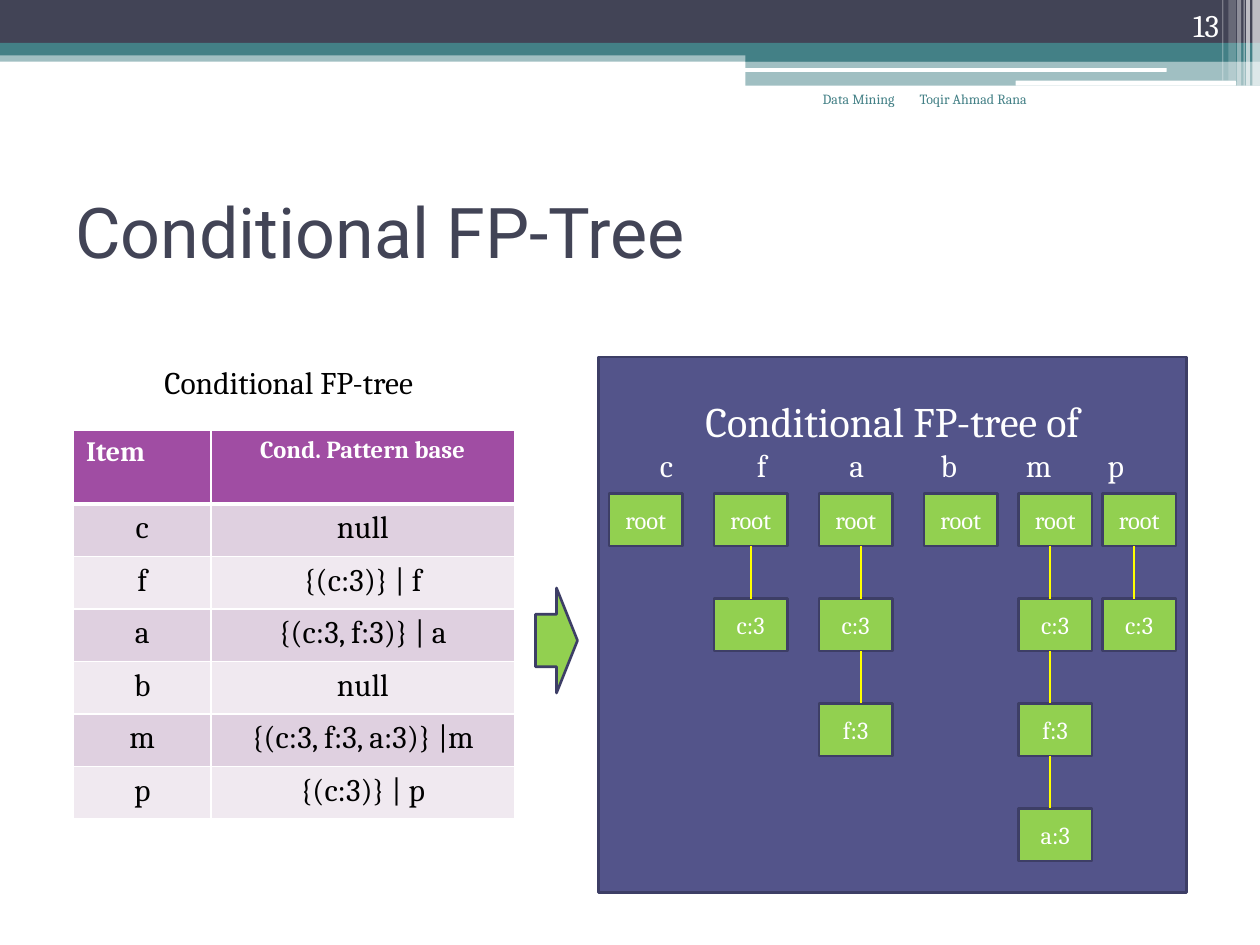
from dataclasses import dataclass
from itertools import pairwise

from lxml import etree
from pptx import Presentation
from pptx.dml.color import RGBColor
from pptx.enum import shapes, text
from pptx.oxml import ns
from pptx.util import Pt

WHITE = RGBColor(0xFF, 0xFF, 0xFF)
BLACK = RGBColor(0x00, 0x00, 0x00)
SLATE = RGBColor(0x42, 0x44, 0x56)
TEAL = RGBColor(0x43, 0x80, 0x86)
INDIGO = RGBColor(0x53, 0x54, 0x8A)
OUTLINE = RGBColor(0x3D, 0x3E, 0x66)
GREEN = RGBColor(0x92, 0xD0, 0x50)
YELLOW = RGBColor(0xFF, 0xFF, 0x00)
PURPLE = RGBColor(0xA0, 0x4D, 0xA3)
ROW_FILLS = (RGBColor(0xDF, 0xD0, 0xE0), RGBColor(0xF0, 0xE9, 0xF0))

RECT = shapes.MSO_SHAPE.RECTANGLE
ROUND = shapes.MSO_SHAPE.ROUNDED_RECTANGLE
ARROW = shapes.MSO_SHAPE.RIGHT_ARROW
LEFT, CENTER, RIGHT = text.PP_ALIGN.LEFT, text.PP_ALIGN.CENTER, text.PP_ALIGN.RIGHT
TOP, MIDDLE, BOTTOM = text.MSO_ANCHOR.TOP, text.MSO_ANCHOR.MIDDLE, text.MSO_ANCHOR.BOTTOM


@dataclass(frozen=True)
class Band:
    left: float
    top: float
    width: float
    height: float
    color: RGBColor
    opacity: int = 100
    kind: int = RECT


@dataclass(frozen=True)
class Label:
    content: str
    left: float
    top: float
    width: float
    height: float
    size: float
    color: RGBColor
    align: int = LEFT
    anchor: int = TOP
    font: str = "Cambria"


@dataclass(frozen=True)
class Tree:
    item: str
    item_center: float
    left: float
    nodes: tuple[str, ...]
    edge_shift: float = 0


BANDS = (
    Band(0, 28.8, 720, 6.5, TEAL, 50),
    Band(0, 0, 720, 24.5, SLATE),
    Band(0, 24.5, 720, 7.2, TEAL),
    Band(426, 28.1, 294, 7.2, TEAL),
    Band(426, 34.6, 294, 14.4, TEAL, 50),
    Band(425.5, 38.9, 241.2, 2.2, WHITE, kind=ROUND),
    Band(580.3, 46.1, 126, 2.9, WHITE, kind=ROUND),
    Band(715.7, 0, 4.3, 49, WHITE, 65),
    Band(712.1, 0, 2.2, 49, WHITE, 65),
    Band(710.6, 0, 0.7, 49, WHITE, 60),
    Band(707, 0, 2.2, 49, WHITE, 40),
    Band(702, 0, 4.3, 46.1, WHITE, 20),
    Band(698.4, 0, 0.7, 46.1, WHITE, 30),
)
LABELS = (
    Label("Conditional FP-Tree", 36, 90, 648, 84, 40, SLATE, anchor=MIDDLE, font="Roboto"),
    Label("Conditional FP-tree", 72, 204, 186, 28.8, 18, BLACK, CENTER),
    Label("Toqir Ahmad Rana", 518.4, 48, 75.6, 36, 8, TEAL),
    Label("13", 643.7, 0, 60, 28.8, 18, WHITE, RIGHT, BOTTOM),
    Label("Data Mining", 414, 48, 104.4, 36, 8, TEAL, RIGHT),
)
TREES = (
    Tree("c", 381, 348, ("root",)),
    Tree("f", 435.4, 408, ("root", "c:3")),
    Tree("a", 489.7, 468, ("root", "c:3", "f:3"), 3),
    Tree("b", 542.3, 528, ("root",)),
    Tree("m", 593.7, 582, ("root", "c:3", "f:3", "a:3"), -3),
    Tree("p", 637.7, 630, ("root", "c:3"), -3),
)
PATTERNS = (
    ("Item", "Cond. Pattern base"),
    ("c", "null"),
    ("f", "{(c:3)} | f"),
    ("a", "{(c:3, f:3)} | a"),
    ("b", "null"),
    ("m", "{(c:3, f:3, a:3)} |m"),
    ("p", "{(c:3)} | p"),
)
PANEL_LEFT, PANEL_TOP, PANEL_WIDTH, PANEL_HEIGHT = 342, 204, 336, 306
INSET = 7.2
NODE_WIDTH, NODE_HEIGHT, NODE_TOP, LEVEL_STEP = 42, 30, 282, 60


def write(para, content: str, *, size: float, color: RGBColor = WHITE,
          align: int = CENTER, font: str = "Cambria", bold: bool = False) -> None:
    para.alignment = align
    span = para.add_run()
    span.text = content
    span.font.name, span.font.size, span.font.bold = font, Pt(size), bold
    span.font.color.rgb = color


def add_block(page, kind: int, left: float, top: float, width: float, height: float,
              fill: RGBColor, outline: RGBColor | None = OUTLINE):
    block = page.shapes.add_shape(kind, Pt(left), Pt(top), Pt(width), Pt(height))
    block.shadow.inherit = False
    block.fill.solid()
    block.fill.fore_color.rgb = fill
    if outline is None:
        block.line.fill.background()
    else:
        block.line.color.rgb = outline
        block.line.width = Pt(1.5)
    return block


def add_band(page, band: Band) -> None:
    block = add_block(page, band.kind, band.left, band.top, band.width, band.height,
                      band.color, None)
    if band.opacity < 100:
        tint = next(block.element.spPr.iter(ns.qn("a:srgbClr")))
        etree.SubElement(tint, ns.qn("a:alpha"), val=str(band.opacity * 1000))


def add_label(page, label: Label) -> None:
    box = page.shapes.add_textbox(Pt(label.left), Pt(label.top), Pt(label.width), Pt(label.height))
    frame = box.text_frame
    frame.word_wrap = True
    frame.vertical_anchor = label.anchor
    write(frame.paragraphs[0], label.content, size=label.size, color=label.color,
          align=label.align, font=label.font)


def add_cell_borders(cell, bottom: float) -> None:
    props = cell._tc.get_or_add_tcPr()
    sides = (("a:lnL", 1), ("a:lnR", 1), ("a:lnT", 1), ("a:lnB", bottom))
    for position, (side, width) in enumerate(sides):
        edge = etree.Element(ns.qn(side), w=str(Pt(width)))
        fill = etree.SubElement(edge, ns.qn("a:solidFill"))
        etree.SubElement(fill, ns.qn("a:srgbClr"), val=str(WHITE))
        props.insert(position, edge)


def add_pattern_table(page) -> None:
    table = page.shapes.add_table(len(PATTERNS), 2, Pt(42), Pt(246), Pt(252), Pt(222)).table
    table.columns[0].width, table.columns[1].width = Pt(78.5), Pt(173.5)
    for row, entries in enumerate(PATTERNS):
        header = row == 0
        table.rows[row].height = Pt(42 if header else 30)
        for column, entry in enumerate(entries):
            cell = table.cell(row, column)
            cell.fill.solid()
            cell.fill.fore_color.rgb = PURPLE if header else ROW_FILLS[(row - 1) % 2]
            add_cell_borders(cell, 3 if header else 1)
            write(cell.text_frame.paragraphs[0], entry,
                  size=(16, 14)[column] if header else 18,
                  color=WHITE if header else BLACK,
                  align=LEFT if header and column == 0 else CENTER, bold=header)


def add_panel(page) -> None:
    panel = add_block(page, RECT, PANEL_LEFT, PANEL_TOP, PANEL_WIDTH, PANEL_HEIGHT, INDIGO)
    frame = panel.text_frame
    frame.word_wrap = True
    frame.vertical_anchor = TOP
    frame.margin_top = Pt(22)
    write(frame.paragraphs[0], "Conditional FP-tree of", size=24)
    items = frame.add_paragraph()
    write(items, "".join("\t" + tree.item for tree in TREES), size=18, align=LEFT)
    stops = etree.SubElement(items._p.get_or_add_pPr(), ns.qn("a:tabLst"))
    for tree in TREES:
        offset = Pt(tree.item_center - PANEL_LEFT - INSET)
        etree.SubElement(stops, ns.qn("a:tab"), pos=str(offset), algn="ctr")


def add_tree(page, tree: Tree) -> None:
    tops = [NODE_TOP + level * LEVEL_STEP for level in range(len(tree.nodes))]
    for node, top in zip(tree.nodes, tops):
        block = add_block(page, RECT, tree.left, top, NODE_WIDTH, NODE_HEIGHT, GREEN)
        block.text_frame.vertical_anchor = MIDDLE
        write(block.text_frame.paragraphs[0], node, size=14)
    edge_x = Pt(tree.left + NODE_WIDTH / 2 + tree.edge_shift)
    for upper, lower in pairwise(tops):
        edge = page.shapes.add_connector(shapes.MSO_CONNECTOR.STRAIGHT, edge_x,
                                         Pt(upper + NODE_HEIGHT), edge_x, Pt(lower))
        edge.line.color.rgb = YELLOW
        edge.line.width = Pt(1.25)
        etree.SubElement(edge._element.spPr, ns.qn("a:effectLst"))


deck = Presentation()
deck.slide_width, deck.slide_height = Pt(720), Pt(540)
page = deck.slides.add_slide(deck.slide_layouts[6])
for band in BANDS:
    add_band(page, band)
add_pattern_table(page)
add_panel(page)
for tree in TREES:
    add_tree(page, tree)
add_block(page, ARROW, 306, 336, 24, 60, GREEN)
for label in LABELS:
    add_label(page, label)
deck.save("out.pptx")
